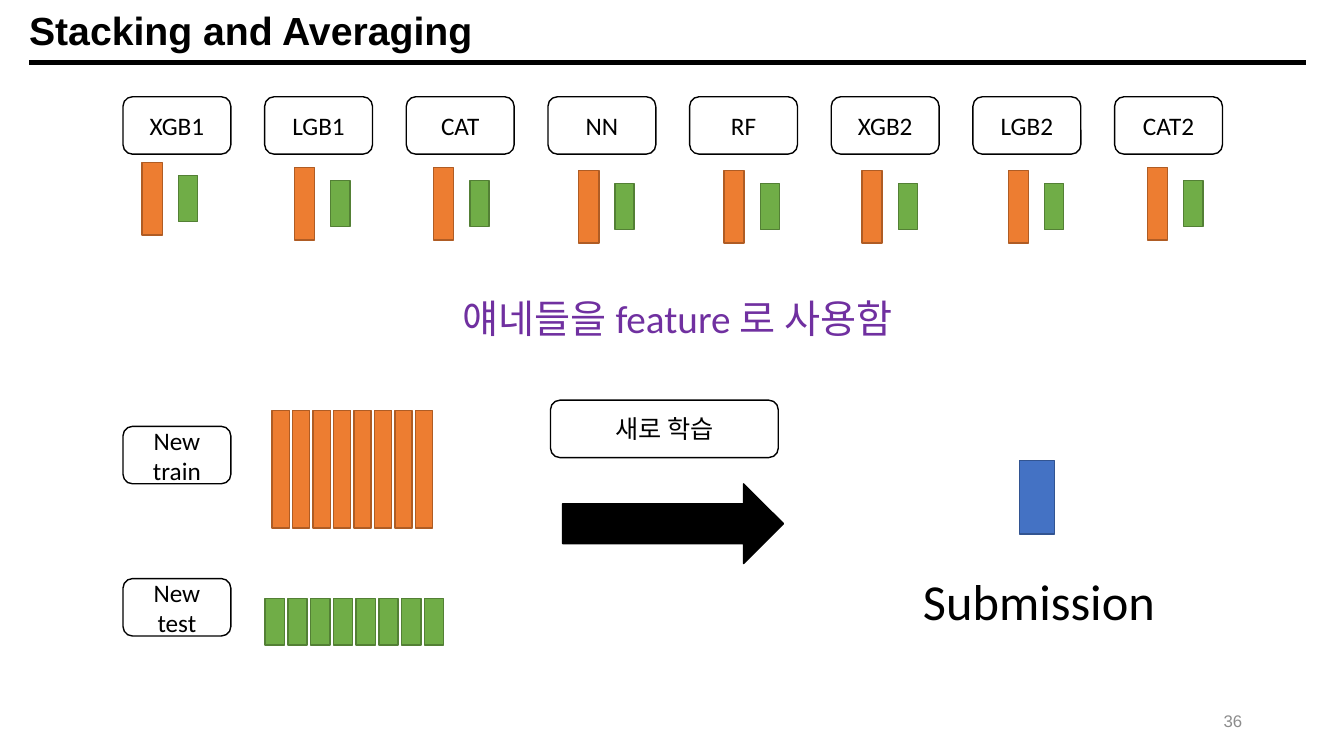
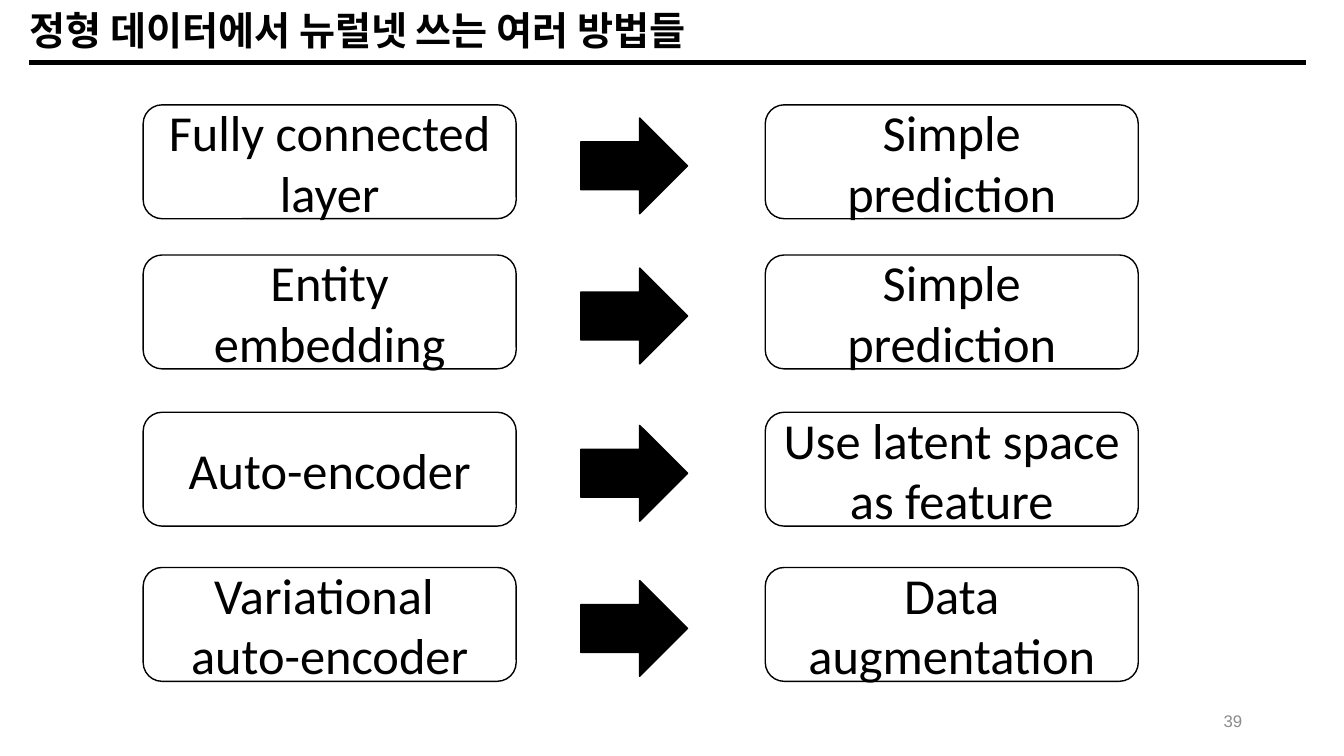
import pptx
import pptx.dml.color
import pptx.enum.shapes
import pptx.enum.text
import pptx.oxml
import pptx.util
from pptx.util import Inches

SHAPE = pptx.enum.shapes.MSO_SHAPE
ALIGN = pptx.enum.text.PP_ALIGN
ANCHOR = pptx.enum.text.MSO_ANCHOR

BLACK, WHITE, GRAY, PURPLE = "000000", "FFFFFF", "8C8C8C", "7030A0"
TRAIN = ("ED7D31", "AF5C24")
TEST = ("70AD47", "538035")
RESULT = ("4472C4", "325491")

MODELS = [
    ("XGB1", 1.41, 1.61), ("LGB1", 2.92, 1.66), ("CAT", 4.3, 1.66), ("NN", 5.74, 1.69),
    ("RF", 7.18, 1.69), ("XGB2", 8.55, 1.69), ("LGB2", 10, 1.69), ("CAT2", 11.38, 1.66),
]
METHODS = [
    (1.04, "Fully connected layer", "Simple prediction"),
    (2.53, "Entity embedding", "Simple prediction"),
    (4.09, "Auto-encoder", "Use latent space as feature"),
    (5.63, "Variational \vauto-encoder", "Data augmentation"),
]


def rgb(value):
    return pptx.dml.color.RGBColor.from_string(value)


def inches(box):
    return [Inches(length) for length in box]


def write(frame, text, size, color=BLACK, font="Calibri", bold=False,
          align=ALIGN.CENTER, anchor=ANCHOR.MIDDLE, spacing=None):
    frame.word_wrap = True
    frame.vertical_anchor = anchor
    frame.text = text
    for paragraph in frame.paragraphs:
        paragraph.alignment = align
        paragraph.line_spacing = spacing
        paragraph.font.size = pptx.util.Pt(size)
        paragraph.font.name = font
        paragraph.font.bold = bold
        paragraph.font.color.rgb = rgb(color)


def add_text(slide, box, text, size, **style):
    write(slide.shapes.add_textbox(*inches(box)).text_frame, text, size, **style)


def add_block(slide, kind, box, fill, line):
    block = slide.shapes.add_shape(kind, *inches(box))
    block.shadow.inherit = False
    block.fill.solid()
    block.fill.fore_color.rgb = rgb(fill)
    block.line.color.rgb = rgb(line)
    block.line.width = pptx.util.Pt(1)
    return block


def add_card(slide, box, text, size):
    card = add_block(slide, SHAPE.ROUNDED_RECTANGLE, box, WHITE, BLACK)
    write(card.text_frame, text, size)


def add_bar(slide, box, colors):
    add_block(slide, SHAPE.RECTANGLE, box, *colors)


def add_arrow(slide, box):
    add_block(slide, SHAPE.RIGHT_ARROW, box, BLACK, BLACK)


def add_strip(slide, first, last, top, width, height, colors):
    pitch = (last - first) / (len(MODELS) - 1)
    for index in range(len(MODELS)):
        add_bar(slide, (first + index * pitch, top, width, height), colors)


def add_page(deck, title, number):
    slide = deck.slides.add_slide(deck.slide_layouts[6])
    add_text(slide, (0.19, 0.02, 12.45, 0.56), title, 28, font="Arial", bold=True,
             align=ALIGN.LEFT, anchor=ANCHOR.BOTTOM, spacing=0.9)
    add_text(slide, (9.42, 6.95, 3, 0.4), number, 12, color=GRAY, font="Arial",
             align=ALIGN.RIGHT)
    rule = slide.shapes.add_connector(pptx.enum.shapes.MSO_CONNECTOR.STRAIGHT,
                                      *inches((0.29, 0.62, 12.95, 0.62)))
    rule.line.color.rgb = rgb(BLACK)
    rule.line.width = pptx.util.Pt(3)
    rule._element.spPr.append(pptx.oxml.parse_xml(
        '<a:effectLst xmlns:a="http://schemas.openxmlformats.org/drawingml/2006/main"/>'))
    return slide


def build_stacking(deck):
    slide = add_page(deck, "Stacking and Averaging", "36")
    for index, (model, left, top) in enumerate(MODELS):
        add_card(slide, (1.22 + index * 1.405, 0.96, 1.07, 0.57), model, 18)
        add_bar(slide, (left, top, 0.2, 0.72), TRAIN)
        add_bar(slide, (left + 0.36, top + 0.13, 0.19, 0.46), TEST)
    add_text(slide, (3.53, 2.87, 6.38, 0.57), "얘네들을 feature 로 사용함", 28,
             color=PURPLE, anchor=ANCHOR.TOP)
    add_strip(slide, 2.7, 4.12, 4.07, 0.17, 1.17, TRAIN)
    add_strip(slide, 2.63, 4.21, 5.94, 0.19, 0.46, TEST)
    add_card(slide, (1.22, 4.23, 1.07, 0.57), "New train", 18)
    add_card(slide, (1.22, 5.74, 1.07, 0.57), "New\ntest", 18)
    add_card(slide, (5.46, 3.97, 2.26, 0.57), "새로 학습", 18)
    add_arrow(slide, (5.58, 4.8, 2.19, 0.79))
    add_bar(slide, (10.11, 4.57, 0.35, 0.73), RESULT)
    add_text(slide, (8.57, 5.61, 3.47, 0.71), "Submission", 36, anchor=ANCHOR.TOP)


def build_methods(deck):
    slide = add_page(deck, "정형 데이터에서 뉴럴넷 쓰는 여러 방법들", "39")
    for top, method, use in METHODS:
        add_card(slide, (1.42, top, 3.7, 1.13), method, 36)
        add_arrow(slide, (5.76, top + 0.13, 1.06, 0.95))
        add_card(slide, (7.59, top, 3.7, 1.13), use, 36)


def main():
    deck = pptx.Presentation()
    deck.slide_width = Inches(13.33)
    deck.slide_height = Inches(7.5)
    build_stacking(deck)
    build_methods(deck)
    deck.save("out.pptx")


if __name__ == "__main__":
    main()
